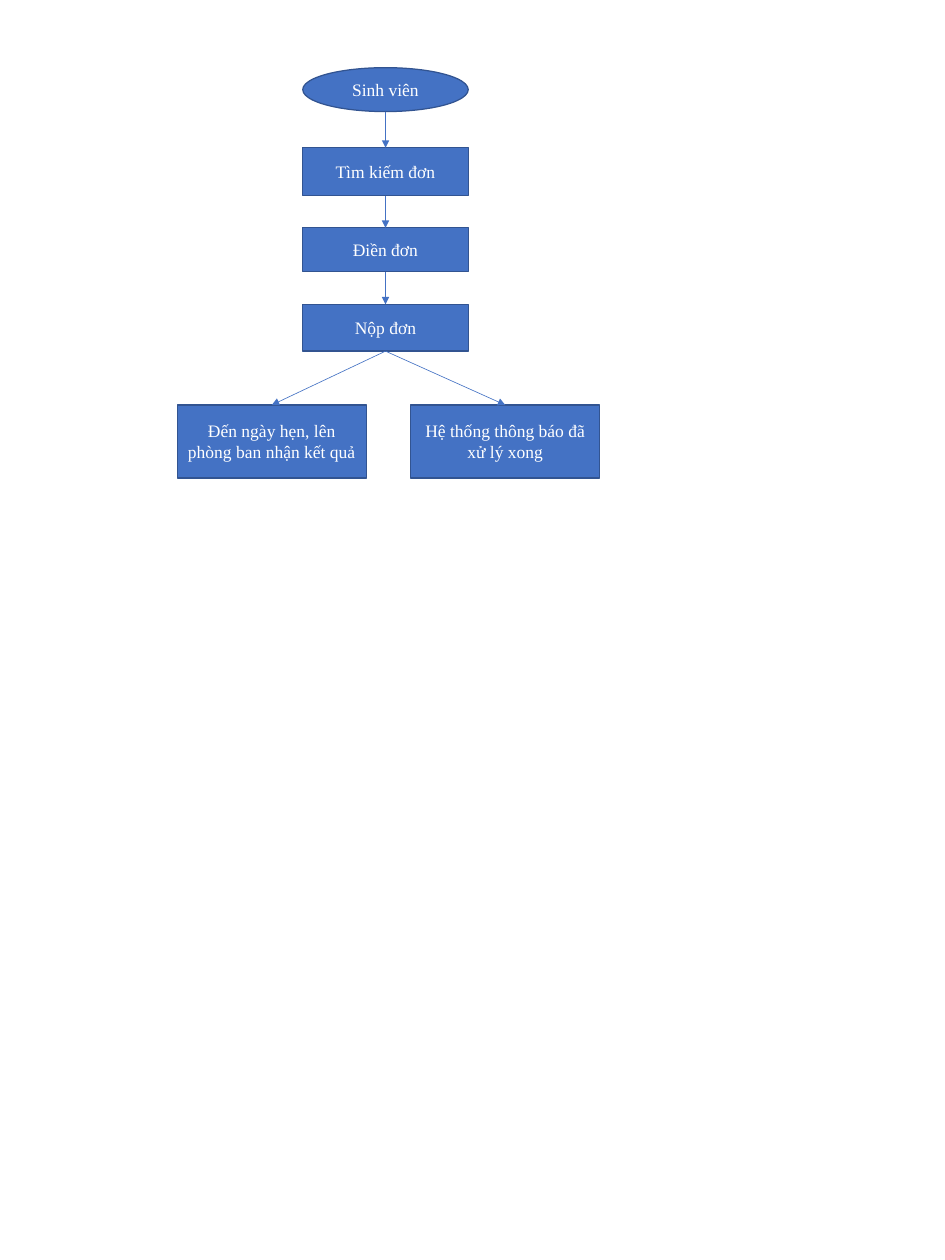
from lxml.etree import SubElement
from pptx import Presentation
from pptx.dml.color import RGBColor
from pptx.enum.shapes import MSO_CONNECTOR as Connector, MSO_SHAPE as Shape
from pptx.enum.text import MSO_ANCHOR as Anchor, PP_ALIGN as Align
from pptx.oxml.ns import qn
from pptx.util import Cm, Pt

# Content: key, text, centre x, top, width, height (cm)
CHAIN_X, CHAIN_W = 10.88, 4.67
RESULT_Y, RESULT_W, RESULT_H = 11.43, 5.34, 2.06
STEPS = [
    ("student", "Sinh viên", CHAIN_X, 1.91, CHAIN_W, 1.24),
    ("search", "Tìm kiếm đơn", CHAIN_X, 4.17, CHAIN_W, 1.35),
    ("fill_in", "Điền đơn", CHAIN_X, 6.43, CHAIN_W, 1.24),
    ("submit", "Nộp đơn", CHAIN_X, 8.59, CHAIN_W, 1.32),
    ("collect", "Đến ngày hẹn, lên phòng ban nhận kết quả",
     7.67, RESULT_Y, RESULT_W, RESULT_H),
    ("notify", "Hệ thống thông báo đã xử lý xong",
     14.26, RESULT_Y, RESULT_W, RESULT_H),
]
FLOWS = [
    ("student", "search"),
    ("search", "fill_in"),
    ("fill_in", "submit"),
    ("submit", "collect"),
    ("submit", "notify"),
]
START = "student"

# Formats
COLOURS = {"box": "4472C4", "border": "325491", "text": "FFFFFF", "arrow": "4472C4"}
FONT = {"name": "Times New Roman", "size": Pt(14)}
FRAME = {"word_wrap": True, "vertical_anchor": Anchor.MIDDLE}
TOP, BOTTOM = 0, 2


def colour(role):
    return RGBColor.from_string(COLOURS[role])


def apply(target, formats):
    for attribute, value in formats.items():
        setattr(target, attribute, value)


def add_step(slide, key, text, centre, top, width, height):
    outline = Shape.OVAL if key == START else Shape.RECTANGLE
    step = slide.shapes.add_shape(
        outline, Cm(centre - width / 2), Cm(top), Cm(width), Cm(height))
    step.shadow.inherit = False
    step.fill.solid()
    step.fill.fore_color.rgb = colour("box")
    step.line.color.rgb = colour("border")
    step.line.width = Pt(1)
    apply(step.text_frame, FRAME)
    label = step.text_frame.paragraphs[0]
    label.text = text
    label.alignment = Align.CENTER
    apply(label.font, FONT)
    label.font.color.rgb = colour("text")
    return step


def add_flow(slide, source, target, join_source):
    arrow = slide.shapes.add_connector(
        Connector.STRAIGHT,
        source.left + source.width // 2, source.top + source.height,
        target.left + target.width // 2, target.top)
    if join_source:
        arrow.begin_connect(source, BOTTOM)
    arrow.end_connect(target, TOP)
    arrow.line.color.rgb = colour("arrow")
    arrow.line.width = Pt(0.5)
    # Arrowhead, and no shadow
    SubElement(arrow.line._get_or_add_ln(), qn("a:tailEnd"), type="triangle")
    SubElement(arrow._element.spPr, qn("a:effectLst"))


def main():
    deck = Presentation()
    deck.slide_width, deck.slide_height = Cm(26.67), Cm(35.56)
    slide = deck.slides.add_slide(deck.slide_layouts[6])

    # Steps
    steps = {key: add_step(slide, key, *rest) for key, *rest in STEPS}

    # Arrows; the oval numbers its connection sites differently
    for source, target in FLOWS:
        add_flow(slide, steps[source], steps[target], source != START)

    deck.save("out.pptx")


if __name__ == "__main__":
    main()
